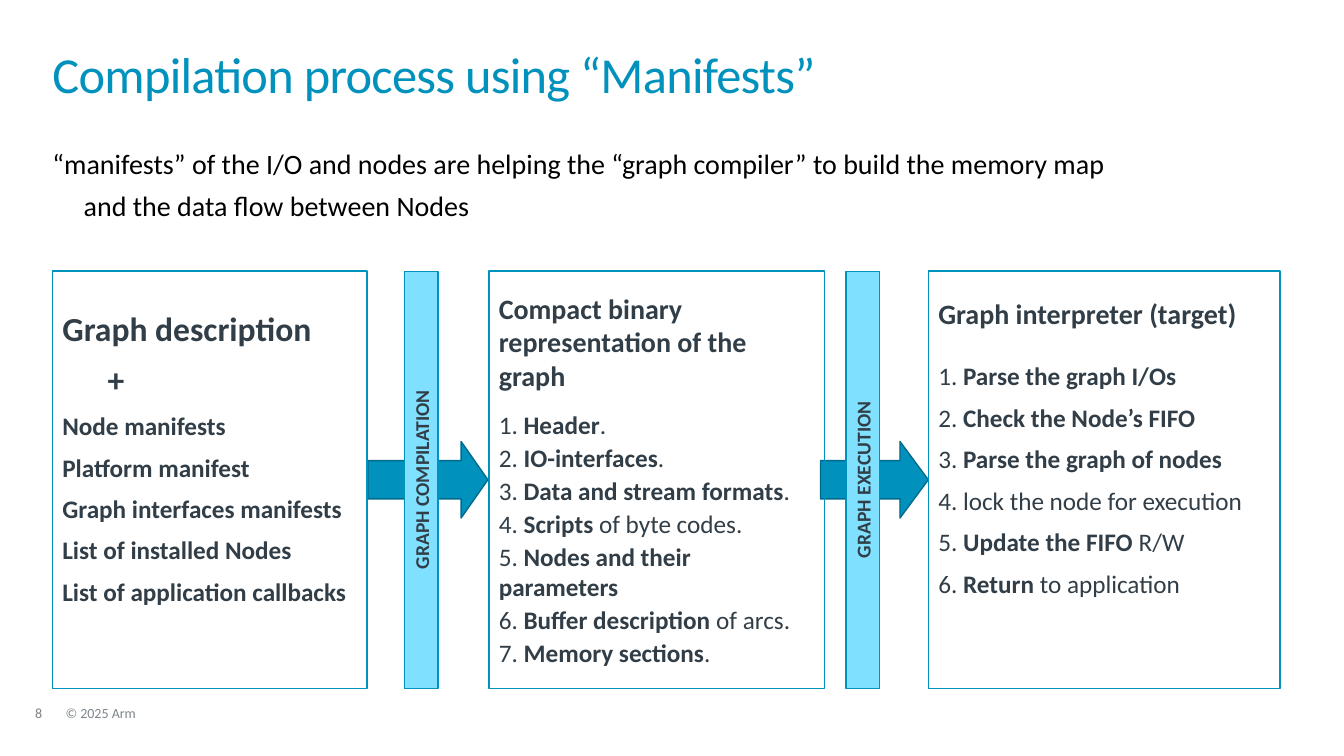
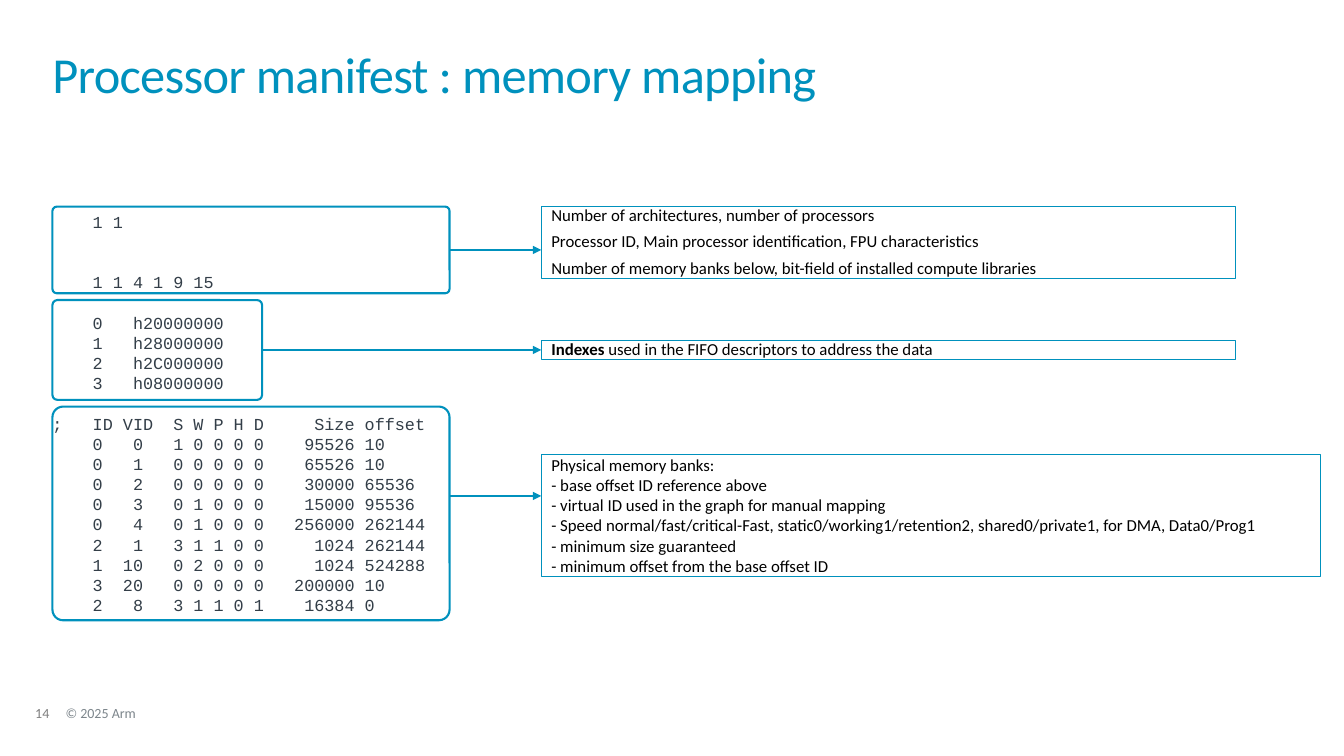
"""Build two slides on graph compilation and memory mapping manifests."""
import pptx
import pptx.dml.color
import pptx.enum.shapes
import pptx.enum.text
import pptx.oxml.ns
import pptx.util
from lxml import etree

RGBColor = pptx.dml.color.RGBColor
Pt = pptx.util.Pt
Inches = pptx.util.Inches
Shapes = pptx.enum.shapes.MSO_SHAPE
Align = pptx.enum.text.PP_ALIGN
Anchor = pptx.enum.text.MSO_ANCHOR
qn = pptx.oxml.ns.qn

BLUE = RGBColor(0x00, 0x91, 0xBD)
DARK_BLUE = RGBColor(0x00, 0x6B, 0x8C)
PALE_BLUE = RGBColor(0x7F, 0xE1, 0xFF)
SLATE = RGBColor(0x32, 0x3E, 0x47)
CODE_SLATE = RGBColor(0x33, 0x3E, 0x48)
NUMBER_GREY = RGBColor(0x7F, 0x7F, 0x7F)
FOOTER_GREY = RGBColor(0x7D, 0x86, 0x8C)
BLACK = RGBColor(0, 0, 0)

COLUMNS, ROWS = 160, 90
MARGIN = 6.24
CONTENT_WIDTH = 147.4
PANEL_TOP, PANEL_HEIGHT = 32.28, 49.68
PARAGRAPH_KEYS = ("alignment", "line_spacing", "space_before", "space_after")
FONT_KEYS = ("name", "size", "bold")

BASE = dict(alignment=Align.LEFT, line_spacing=1.0, space_before=Pt(0), space_after=Pt(0),
            name="Calibri", size=Pt(18), bold=False, color=SLATE)
TITLE = dict(BASE, size=Pt(36), color=BLUE, line_spacing=0.85, tracking=-50)
LEAD = dict(BASE, size=Pt(20), color=BLACK, space_before=Pt(6))
CODE = dict(BASE, name="Courier New", size=Pt(12), color=CODE_SLATE, line_spacing=Pt(14.4))
FOOTER = dict(BASE, size=Pt(10), color=FOOTER_GREY, line_spacing=0.9)
NUMBER = dict(FOOTER, color=NUMBER_GREY)
BAR = dict(BASE, size=Pt(14), bold=True, alignment=Align.CENTER)
NOTE = dict(BASE, size=Pt(12), color=BLACK, indent=Inches(0.1))
SPACED_NOTE = dict(NOTE, line_spacing=0.9, space_after=Pt(6))
STEP = dict(BASE, space_after=Pt(8))
HEADING = dict(size=Pt(20), bold=True, space_after=Pt(0))
LARGE = dict(size=Pt(24), bold=True)


class Deck:
    """Hold the presentation, the shared style and the current slide."""

    def __init__(self):
        self.presentation = pptx.Presentation()
        self.presentation.slide_width = Inches(13.333)
        self.presentation.slide_height = Inches(7.5)
        self.slide = None

    def x(self, columns):
        return round(self.presentation.slide_width * columns / COLUMNS)

    def y(self, rows):
        return round(self.presentation.slide_height * rows / ROWS)

    def area(self, left, top, width, height):
        return self.x(left), self.y(top), self.x(width), self.y(height)

    def fill_text(self, shape, paragraphs, style, insets=(0, 0, 0, 0), anchor=Anchor.TOP):
        frame = shape.text_frame
        settings = dict(zip(("margin_left", "margin_top", "margin_right", "margin_bottom"),
                            map(Inches, insets)))
        settings.update(word_wrap=True, auto_size=pptx.enum.text.MSO_AUTO_SIZE.NONE,
                        vertical_anchor=anchor)
        for key, value in settings.items():
            setattr(frame, key, value)
        for index, item in enumerate(paragraphs):
            text, changes = (item, {}) if isinstance(item, str) else item
            values = {**style, **changes}
            if index == 0:
                values["space_before"] = Pt(0)
            paragraph = frame.add_paragraph() if index else frame.paragraphs[0]
            properties = paragraph._p.get_or_add_pPr()
            properties.set("marL", str(values.get("indent", 0)))
            properties.set("indent", "0")
            etree.SubElement(properties, qn("a:buNone"))
            for key in PARAGRAPH_KEYS:
                setattr(paragraph, key, values[key])
            for part, words in enumerate(text.split("**")):
                if words:
                    self.add_words(paragraph, words,
                                   dict(values, bold=values["bold"] or part % 2 == 1))

    def add_words(self, paragraph, words, values):
        run = paragraph.add_run()
        run.text = words
        for key in FONT_KEYS:
            setattr(run.font, key, values[key])
        run.font.color.rgb = values["color"]
        if "tracking" in values:
            run._r.get_or_add_rPr().set("spc", str(values["tracking"]))

    def place(self, shape, area):
        for key, value in zip(("left", "top", "width", "height"), self.area(*area)):
            setattr(shape, key, value)

    def start(self, title, number, body, body_area, body_style):
        self.slide = self.presentation.slides.add_slide(self.presentation.slide_layouts[1])
        heading, content = self.slide.placeholders
        self.place(heading, (MARGIN, MARGIN, CONTENT_WIDTH, 8.64))
        self.fill_text(heading, [title], TITLE)
        self.place(content, body_area)
        self.fill_text(content, body, body_style)
        self.label(number, (4.2, 84.12, 4.08, 1.8), NUMBER)
        self.label("© 2025 Arm", (7.8, 84.12, 60.84, 1.8), FOOTER)

    def label(self, text, area, style):
        self.fill_text(self.slide.shapes.add_textbox(*self.area(*area)), [text], style)

    def shape(self, kind, area, fill=None, line=BLUE, weight=1, adjustments=()):
        shape = self.slide.shapes.add_shape(kind, *self.area(*area))
        shape.shadow.inherit = False
        if fill is None:
            shape.fill.background()
        else:
            shape.fill.solid()
            shape.fill.fore_color.rgb = fill
        shape.line.color.rgb = line
        shape.line.width = Pt(weight)
        for index, value in enumerate(adjustments):
            shape.adjustments[index] = value
        return shape

    def panel(self, left, width, top_inset, paragraphs, style):
        panel = self.shape(Shapes.RECTANGLE, (left, PANEL_TOP, width, PANEL_HEIGHT))
        self.fill_text(panel, paragraphs, style, (0.1, top_inset, 0.1, 0.05))

    def stage(self, left, width, head, bar_center, text):
        middle = PANEL_TOP + PANEL_HEIGHT / 2
        self.shape(Shapes.RIGHT_ARROW, (left, middle - 4.56, width, 9.12),
                   BLUE, DARK_BLUE, adjustments=(0.5, head))
        bar = self.shape(Shapes.RECTANGLE, (bar_center - PANEL_HEIGHT / 2, middle - 1.98,
                                            PANEL_HEIGHT, 3.96), PALE_BLUE)
        bar.rotation = 270
        self.fill_text(bar, [text], BAR, (0.1, 0.05, 0.1, 0.05), Anchor.MIDDLE)

    def note(self, area, paragraphs, style):
        note = self.shape(Shapes.RECTANGLE, area, weight=0.75)
        self.fill_text(note, paragraphs, style)
        return note

    def arrow(self, source, target, row):
        height = self.y(row)
        arrow = self.slide.shapes.add_connector(
            pptx.enum.shapes.MSO_CONNECTOR.STRAIGHT,
            source.left + source.width, height, target.left, height)
        for shape, connect, side in ((source, arrow.begin_connect, 3),
                                     (target, arrow.end_connect, 1)):
            if abs(shape.top + shape.height / 2 - height) < self.y(0.1):
                connect(shape, side)
        arrow.line.color.rgb = BLUE
        arrow.line.width = Pt(1)
        properties = arrow._element.spPr
        etree.SubElement(properties.find(qn("a:ln")), qn("a:tailEnd"), type="triangle")
        etree.SubElement(properties, qn("a:effectLst"))


def numbered(items, gap):
    """Number the items and set the gap above the first one."""
    return [(f"{number}. {item}", {"space_before": Pt(gap if number == 1 else 0)})
            for number, item in enumerate(items, 1)]


def add_compilation(deck):
    """Add the slide on the compilation process."""
    deck.start("Compilation process using “Manifests”", "8", [
        "“manifests” of the I/O and nodes are helping the “graph compiler” to build the memory map",
        ("and the data flow between Nodes", {"indent": Inches(0.31)}),
    ], (MARGIN, 17.4, CONTENT_WIDTH, 10.32), LEAD)
    deck.stage(43.8, 14.28, 0.35, 50.16, "GRAPH COMPILATION")
    deck.stage(97.68, 12.84, 0.37, 102.72, "GRAPH EXECUTION")
    deck.panel(MARGIN, 37.44, 0.36, [
        ("Graph description", LARGE),
        ("+", dict(LARGE, indent=Inches(0.45))),
        "Node manifests",
        "Platform manifest",
        "Graph interfaces manifests",
        "List of installed Nodes",
        "List of application callbacks",
    ], dict(STEP, bold=True))
    deck.panel(58.2, 39.96, 0.2, [
        ("Compact binary representation of the graph", HEADING),
        *numbered(["**Header**.", "**IO-interfaces**.", "**Data and stream formats**.",
                   "**Scripts** of byte codes.", "**Nodes and their parameters**",
                   "**Buffer description **of arcs.", "**Memory sections**."], 12.2),
    ], dict(STEP, space_after=Pt(2)))
    deck.panel(110.52, 41.88, 0.25, [
        ("Graph interpreter (target)", HEADING),
        *numbered(["**Parse the graph I/Os**", "**Check the Node’s FIFO**",
                   "**Parse the graph of nodes**", "lock the node for execution",
                   "**Update the FIFO **R/W", "**Return** to application"], 22),
    ], STEP)


def add_memory_mapping(deck):
    """Add the slide on the memory mapping of the processor manifest."""
    one_line, two_lines = {"space_before": Pt(14.4)}, {"space_before": Pt(28.8)}
    deck.start("Processor manifest : memory mapping", "14", [
        "    1 1",
        ("    1 1 4 1 9 15", two_lines),
        ("    0   h20000000", one_line),
        "    1   h28000000",
        "    2   h2C000000",
        "    3   h08000000",
        (";   ID VID  S W P H D     Size offset", one_line),
        "    0   0   1 0 0 0 0    95526 10",
        "    0   1   0 0 0 0 0    65526 10",
        "    0   2   0 0 0 0 0    30000 65536",
        "    0   3   0 1 0 0 0    15000 95536",
        "    0   4   0 1 0 0 0   256000 262144",
        "    2   1   3 1 1 0 0     1024 262144",
        "    1  10   0 2 0 0 0     1024 524288",
        "    3  20   0 0 0 0 0   200000 10",
        "    2   8   3 1 1 0 1    16384 0",
    ], (MARGIN, 25.2, 52.56, 50.28), CODE)
    top, gap, note_left = 24.6, 0.8, 64.44
    blocks = (
        (47.28, 10.32, 29.76, (note_left, 24.6, 82.68, 8.52), SPACED_NOTE, [
            "Number of architectures, number of processors",
            "Processor ID, Main processor identification, FPU characteristics",
            "Number of memory banks below, bit-field of installed compute libraries"]),
        (24.96, 11.88, 41.66, (note_left, 40.56, 82.68, 2.2), SPACED_NOTE, [
            "**Indexes** used in the FIFO descriptors to address the data"]),
        (47.28, 25.44, 59.04, (note_left, 54.12, 92.76, 14.52), NOTE, [
            "Physical memory banks:",
            "- base offset ID reference above",
            "- virtual ID used in the graph for manual mapping",
            "- Speed normal/fast/critical-Fast, static0/working1/retention2, "
            "shared0/private1, for DMA, Data0/Prog1",
            "- minimum size guaranteed",
            "- minimum offset from the base offset ID"]),
    )
    for width, height, arrow_row, note_area, style, paragraphs in blocks:
        frame = deck.shape(Shapes.ROUNDED_RECTANGLE, (MARGIN, top, width, height),
                           weight=1.5, adjustments=(0.05,))
        deck.arrow(frame, deck.note(note_area, paragraphs, style), arrow_row)
        top += height + gap


def main():
    """Build and save the presentation."""
    deck = Deck()
    add_compilation(deck)
    add_memory_mapping(deck)
    deck.presentation.save("out.pptx")


if __name__ == "__main__":
    main()
